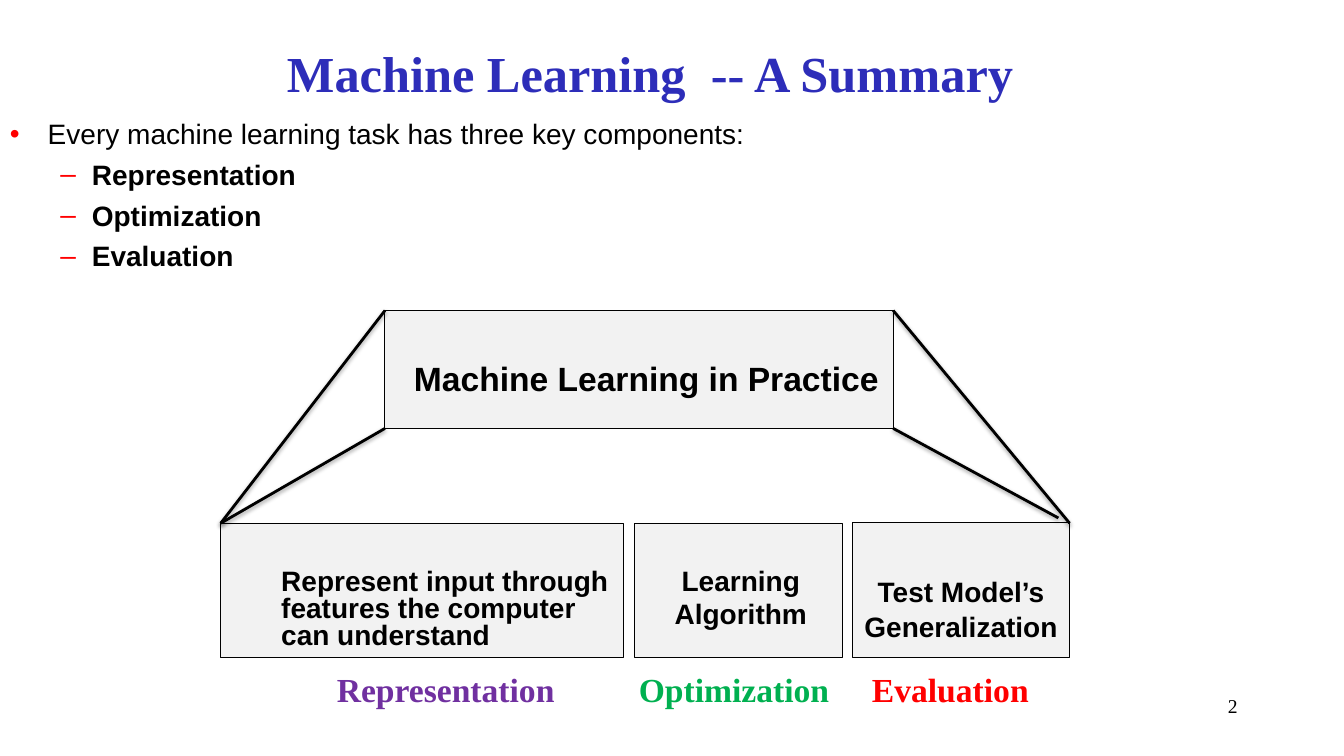
from lxml import etree
from pptx import Presentation
from pptx.dml.color import RGBColor
from pptx.enum.shapes import MSO_CONNECTOR, MSO_SHAPE
from pptx.enum.text import MSO_ANCHOR, MSO_AUTO_SIZE, PP_ALIGN
from pptx.oxml import parse_xml
from pptx.oxml.ns import nsdecls, qn
from pptx.util import Pt

LINE, RECT = MSO_CONNECTOR.STRAIGHT, MSO_SHAPE.RECTANGLE
TOP, MIDDLE = MSO_ANCHOR.TOP, MSO_ANCHOR.MIDDLE
LEFT, CENTER, RIGHT = PP_ALIGN.LEFT, PP_ALIGN.CENTER, PP_ALIGN.RIGHT
SANS, SERIF = "Arial", "Times New Roman"
COLORS = {
    "title": "2D2DB9", "text": "000000", "box": "F2F2F2", "bullet": "FF0000",
    "purple": "7030A0", "green": "00B050", "red": "FF0000",
}
SHADOW = (
    f'<a:effectLst {nsdecls("a")}>'
    '<a:outerShdw blurRad="40000" dist="20000" dir="5400000" rotWithShape="0">'
    '<a:srgbClr val="000000"><a:alpha val="38000"/></a:srgbClr>'
    "</a:outerShdw></a:effectLst>"
)


def color(name):
    return RGBColor.from_string(COLORS[name])


def write(shape, text, size, font=SANS, ink="text", bold=True, align=LEFT, anchor=TOP):
    """Fill a shape with text, one paragraph a line, in one format."""
    frame = shape.text_frame
    frame.text = text
    frame.word_wrap = True
    frame.auto_size = MSO_AUTO_SIZE.NONE
    frame.vertical_anchor = anchor
    for para in frame.paragraphs:
        para.alignment = align
        for run in para.runs:
            run.font.name, run.font.size = font, Pt(size)
            run.font.bold = bold
            run.font.color.rgb = color(ink)
    return frame


prs = Presentation()
prs.slide_width, prs.slide_height = Pt(960), Pt(540)
slide = prs.slides.add_slide(prs.slide_layouts[5])
shapes = slide.shapes

# Title
title = shapes.title
title.left, title.top, title.width, title.height = Pt(6), Pt(26), Pt(864), Pt(51)
frame = write(title, "Machine Learning  -- A Summary", 36, SERIF, "title", anchor=MIDDLE)
frame.margin_left = Pt(199)

# Bullet list
body = shapes.add_textbox(Pt(0), Pt(80), Pt(954), Pt(112))
points = [
    "Every machine learning task has three key components:",
    "Representation", "Optimization", "Evaluation",
]
frame = write(body, "\n".join(points), 20)
for row, para in enumerate(frame.paragraphs):
    sub = row > 0
    para.level = int(sub)
    para.space_before = Pt(5 if sub else 0)
    para.runs[0].font.bold = sub
    props = para._p.get_or_add_pPr()
    props.set("marL", str(Pt(58.5 if sub else 27)))
    props.set("indent", str(Pt(-22.5 if sub else -27)))
    tint = etree.SubElement(props, qn("a:buClr"))
    etree.SubElement(tint, qn("a:srgbClr")).set("val", COLORS["bullet"])
    etree.SubElement(props, qn("a:buFont")).set("typeface", SANS)
    etree.SubElement(props, qn("a:buChar")).set("char", "–" if sub else "•")

# Boxes: left, top, width, height, text, size, align, left and top inset, spacing, gap
boxes = [
    (275, 221.8, 363, 84.2, "Machine Learning in Practice", 24, LEFT, 20.7, 33.5, 1, 0),
    (157.7, 373.7, 288, 95.8,
     "Represent input through features the computer can understand",
     20, LEFT, 43.2, 33.5, 0.8, 0),
    (453, 373.7, 149, 95.8, "Learning\nAlgorithm", 20, CENTER, 10.5, 33.5, 0.8, 4.6),
    (609, 373.2, 155, 96.3, "Test Model’s\nGeneralization", 20, CENTER, 7.2, 41.5, 0.8, 6),
]
for x, y, w, h, text, size, align, inset, drop, pitch, gap in boxes:
    box = shapes.add_shape(RECT, Pt(x), Pt(y), Pt(w), Pt(h))
    box.shadow.inherit = False
    box.fill.solid()
    box.fill.fore_color.rgb = color("box")
    box.line.color.rgb = color("text")
    box.line.width = Pt(0.75)
    frame = write(box, text, size, align=align)
    frame.margin_left, frame.margin_top = Pt(inset), Pt(drop)
    for row, para in enumerate(frame.paragraphs):
        para.line_spacing = pitch
        para.space_before = Pt(gap if row else 0)

# Labels under the boxes
labels = [
    ("Representation", 233.5, "purple"),
    ("Optimization", 449.2, "green"),
    ("Evaluation", 615.7, "red"),
]
for text, x, ink in labels:
    label = shapes.add_textbox(Pt(x), Pt(474), Pt(180), Pt(36))
    write(label, text, 24, SERIF, ink)

# Lines from the corners of the top box to the lower row
lines = [
    (638, 221.8, 764, 373.7),
    (275, 221.8, 157.7, 373.7),
    (275, 306, 157.7, 373.7),
    (638, 306, 756, 370),
]
for ends in lines:
    line = shapes.add_connector(LINE, *map(Pt, ends))
    line.line.color.rgb = color("text")
    line.line.width = Pt(2)
    line._element.spPr.append(parse_xml(SHADOW))

# Slide number
number = shapes.add_textbox(Pt(866), Pt(492), Pt(18), Pt(36))
frame = write(number, "2", 14, SERIF, bold=False, align=RIGHT)
frame.margin_left = frame.margin_right = Pt(0)

prs.save("out.pptx")
